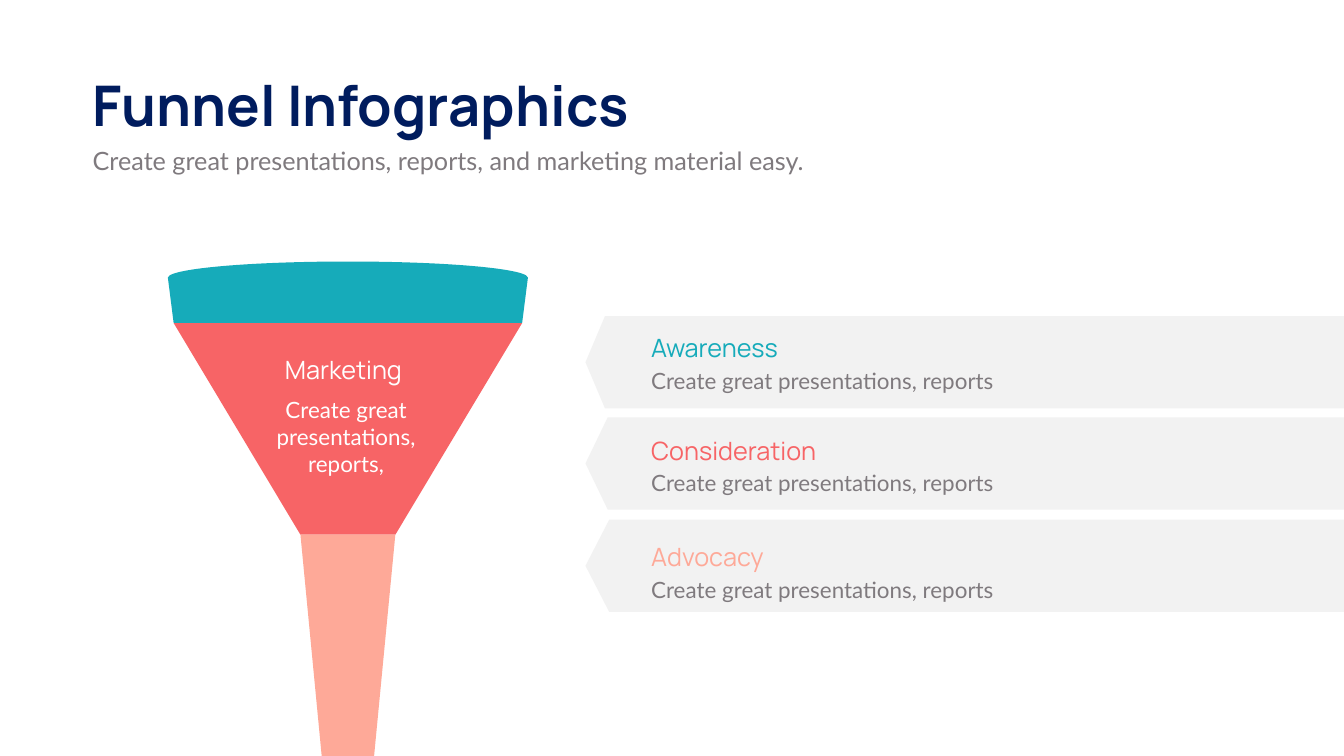
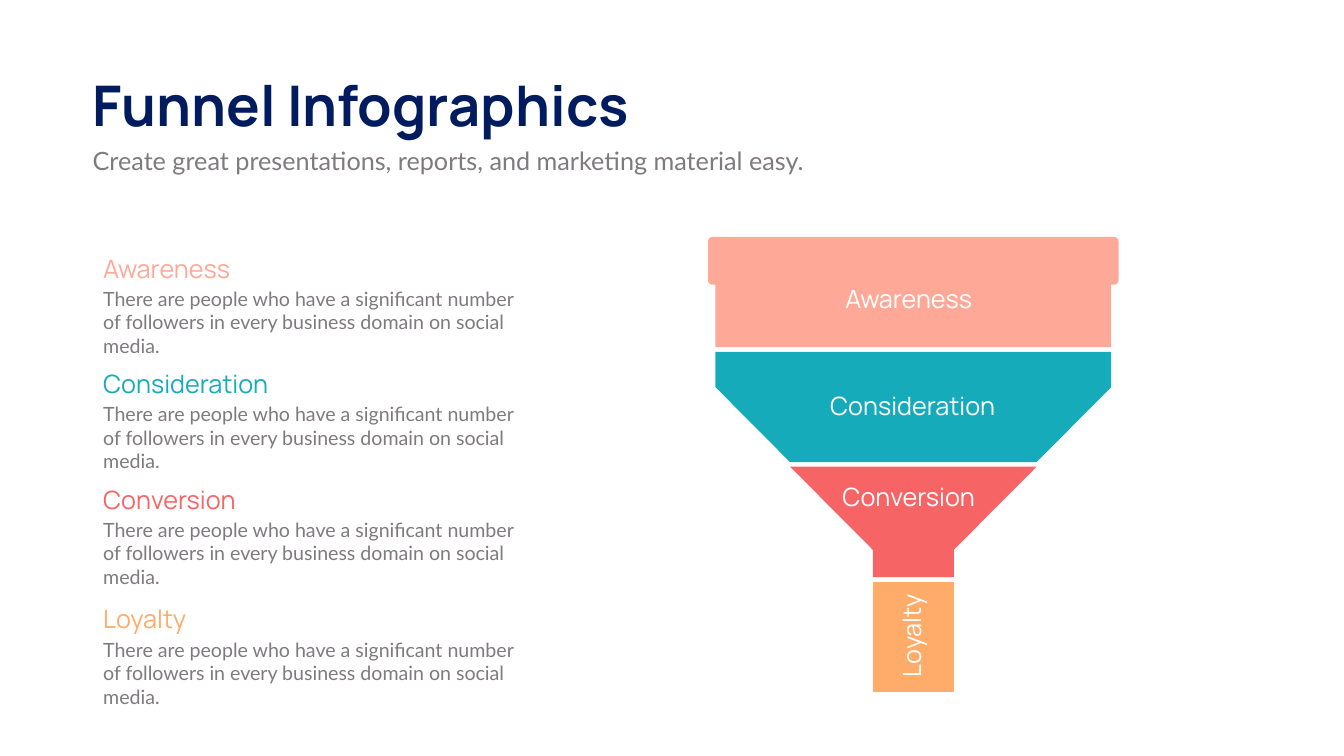
from dataclasses import dataclass
from math import cos, pi, sin

from pptx import Presentation
from pptx.dml.color import RGBColor
from pptx.enum.shapes import MSO_SHAPE as Shape
from pptx.enum.text import MSO_AUTO_SIZE as AutoSize, PP_ALIGN as Align
from pptx.util import Cm, Pt


@dataclass(frozen=True)
class Theme:
    navy: str = "001C5E"
    grey: str = "7F7A7E"
    band: str = "F2F2F2"
    white: str = "FFFFFF"
    teal: str = "16ABBA"
    coral: str = "F76466"
    peach: str = "FEA998"
    orange: str = "FFAB69"
    heading_font: str = "Manrope"
    body_font: str = "Lato"
    title_size: int = 80
    heading_size: int = 36
    body_size: int = 32
    small_size: int = 28


THEME = Theme()
SLIDE_WIDTH, SLIDE_HEIGHT = 67.72, 38.1
TAGLINE = "Create great presentations, reports, and marketing material easy."
SHORT_COPY = "Create great presentations, reports"
LONG_COPY = ("There are people who have a significant number of followers "
             "in every business domain on social media.")


def add_text(slide, box, text, size, color, font=THEME.body_font,
             align=Align.LEFT, bold=False, wrap=True):
    label = slide.shapes.add_textbox(*map(Cm, box))
    frame = label.text_frame
    frame.word_wrap = wrap
    frame.auto_size = AutoSize.SHAPE_TO_FIT_TEXT
    paragraph = frame.paragraphs[0]
    paragraph.text = text
    paragraph.alignment = align
    paragraph.font.name = font
    paragraph.font.size = Pt(size)
    paragraph.font.bold = bold
    paragraph.font.color.rgb = RGBColor.from_string(color)
    return label


def add_heading(slide, box, text, color, align=Align.LEFT):
    return add_text(slide, box, text, THEME.heading_size, color,
                    THEME.heading_font, align)


def paint(shape, color):
    shape.shadow.inherit = False
    shape.fill.solid()
    shape.fill.fore_color.rgb = RGBColor.from_string(color)
    shape.line.fill.background()


def add_layer(slide, center, top, right_side, color):
    """Draw a mirrored outline from (half width, depth) points, top to bottom."""
    left_side = [(-x, y) for x, y in reversed(right_side)]
    outline = [(Cm(center + x), Cm(top + y)) for x, y in right_side + left_side]
    builder = slide.shapes.build_freeform(*outline[0], scale=1.0)
    builder.add_line_segments(outline[1:], close=True)
    paint(builder.convert_to_shape(), color)


def add_header(slide):
    left = 4.42
    add_text(slide, (left, 3.43, 29.74, 3.68), "Funnel Infographics",
             THEME.title_size, THEME.navy, THEME.heading_font,
             bold=True, wrap=False)
    add_text(slide, (left, 7.21, 52.88, 1.8), TAGLINE,
             THEME.heading_size, THEME.grey)


def add_stage_band(slide, left, top, notch, heading, color, text_top):
    height = 4.65
    band = slide.shapes.add_shape(Shape.PENTAGON, Cm(left), Cm(top),
                                  Cm(SLIDE_WIDTH - left), Cm(height))
    band.rotation = 180
    band.adjustments[0] = notch
    paint(band, THEME.band)
    text_left = left + 3.06
    add_heading(slide, (text_left, top + text_top, 25.1, 1.8), heading, color)
    add_text(slide, (text_left, top + text_top + 1.75, 30.4, 1.62),
             SHORT_COPY, THEME.body_size, THEME.grey)


def add_tall_funnel(slide, left, top, width):
    center = left + width / 2
    rim_height = 1.63
    # Half width and depth at each joint, from the rim to the slide's edge
    joints = [(width / 2, rim_height / 2), (8.78, 3.1), (2.39, 13.77),
              (1.32, SLIDE_HEIGHT - top)]
    colors = [THEME.teal, THEME.coral, THEME.peach]
    for upper, lower, color in zip(joints, joints[1:], colors):
        add_layer(slide, center, top, [upper, lower], color)
    rim = slide.shapes.add_shape(Shape.OVAL, Cm(left), Cm(top),
                                 Cm(width), Cm(rim_height))
    paint(rim, THEME.teal)
    add_heading(slide, (left + 5.05, top + 4.55, 7.59, 1.8), "Marketing",
                THEME.white, Align.CENTER)
    add_text(slide, (left + 4.47, top + 6.66, 9.02, 4.37), SHORT_COPY + ",",
             THEME.body_size, THEME.white, align=Align.CENTER)


def add_stage_note(slide, left, top, heading, color):
    add_heading(slide, (left, top, 9.7, 1.8), heading, color)
    add_text(slide, (left, top + 1.7, 22.25, 2.64), LONG_COPY,
             THEME.small_size, THEME.grey)


def lid_outline(lid, wall, depth, band_height):
    """Right half of the rounded lid and the wall below it."""
    radius, steps = 0.23, 6
    angles = [pi / 2 * step / steps for step in range(steps + 1)]
    upper = [(lid - radius + radius * sin(a), radius - radius * cos(a))
             for a in angles]
    lower = [(x, depth - y) for x, y in reversed(upper)]
    return upper + lower + [(wall, depth), (wall, band_height)]


def add_layered_funnel(slide, left, top, width):
    center = left + width / 2
    band_height, pitch = 5.56, 5.79
    wall, neck, spout = 9.97, 6.21, 2.04
    # Name, colour, outline, then the label's shift, drop, width and rotation
    layers = [
        ("Awareness", THEME.peach,
         lid_outline(width / 2, wall, 2.41, band_height), -0.23, 2.23, 25.1, 0),
        ("Consideration", THEME.teal,
         [(wall, 0), (wall, 1.78), (neck, band_height)], -0.03, 1.8, 25.1, 0),
        ("Conversion", THEME.coral,
         [(neck, 0), (spout, 4.19), (spout, band_height)], -0.23, 0.59, 13.1, 0),
        ("Loyalty", THEME.orange,
         [(spout, 0), (spout, band_height)], -0.1, 1.83, 5.51, 270),
    ]
    for row, (name, color, outline, shift, drop, label_width, turn) in enumerate(layers):
        layer_top = top + row * pitch
        add_layer(slide, center, layer_top, outline, color)
        label = add_heading(
            slide, (center + shift - label_width / 2, layer_top + drop,
                    label_width, 1.8), name, THEME.white, Align.CENTER)
        label.rotation = turn


def build_marketing_slide(slide):
    add_header(slide)
    stages = [
        (15.93, 0.211, "Awareness", THEME.teal, 0.71),
        (21.03, 0.241, "Consideration", THEME.coral, 0.76),
        (26.19, 0.257, "Advocacy", THEME.peach, 0.99),
    ]
    for stage in stages:
        add_stage_band(slide, 29.5, *stage)
    add_tall_funnel(slide, 8.46, 13.18, 18.14)


def build_stages_slide(slide):
    add_header(slide)
    notes = [
        (12.62, "Awareness", THEME.peach),
        (18.44, "Consideration", THEME.teal),
        (24.26, "Conversion", THEME.coral),
        (30.3, "Loyalty", THEME.orange),
    ]
    for note in notes:
        add_stage_note(slide, 4.95, *note)
    add_layered_funnel(slide, 35.68, 11.94, 20.68)


def main():
    deck = Presentation()
    deck.slide_width, deck.slide_height = Cm(SLIDE_WIDTH), Cm(SLIDE_HEIGHT)
    blank = deck.slide_layouts[6]
    for build in (build_marketing_slide, build_stages_slide):
        build(deck.slides.add_slide(blank))
    deck.save("out.pptx")


if __name__ == "__main__":
    main()
